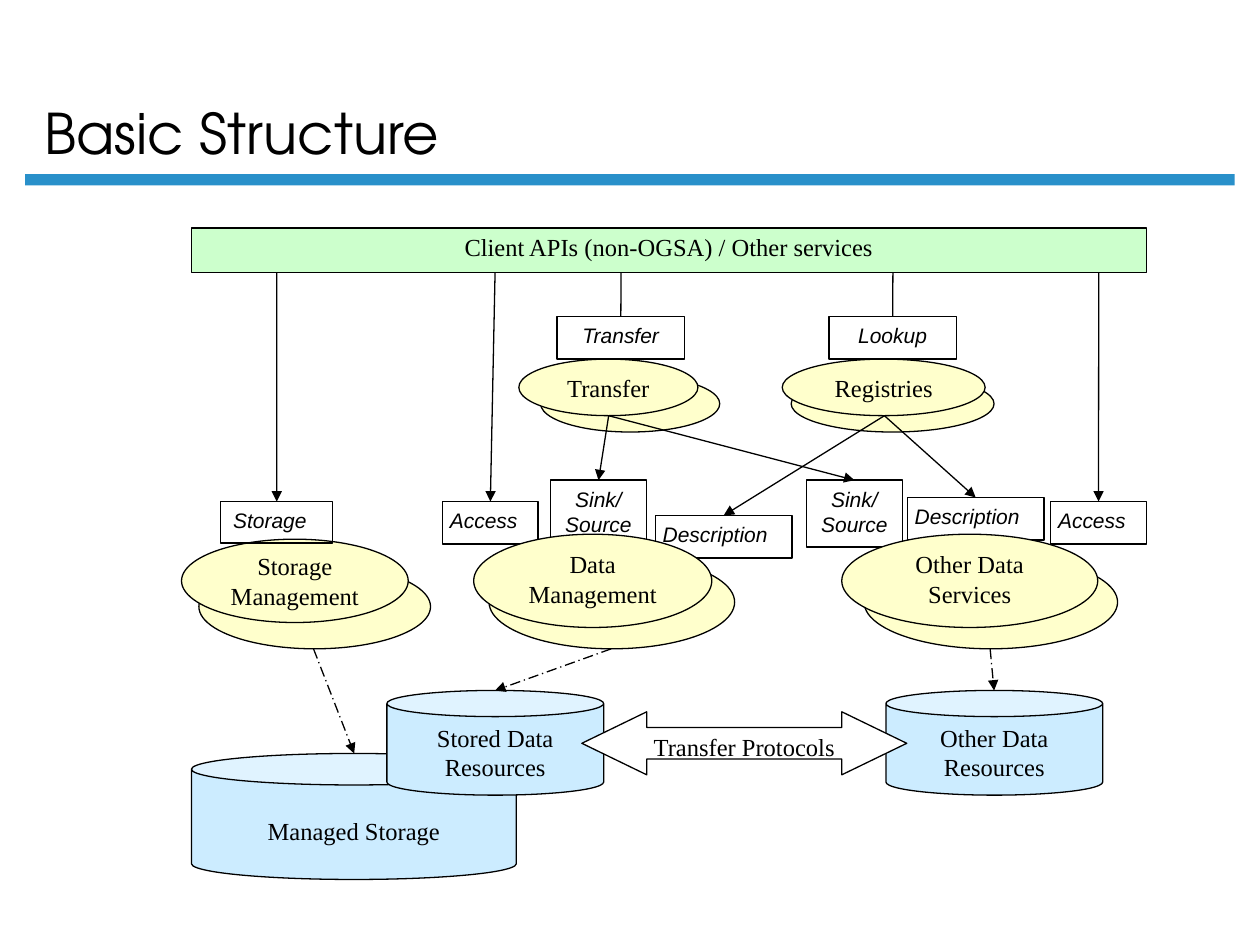
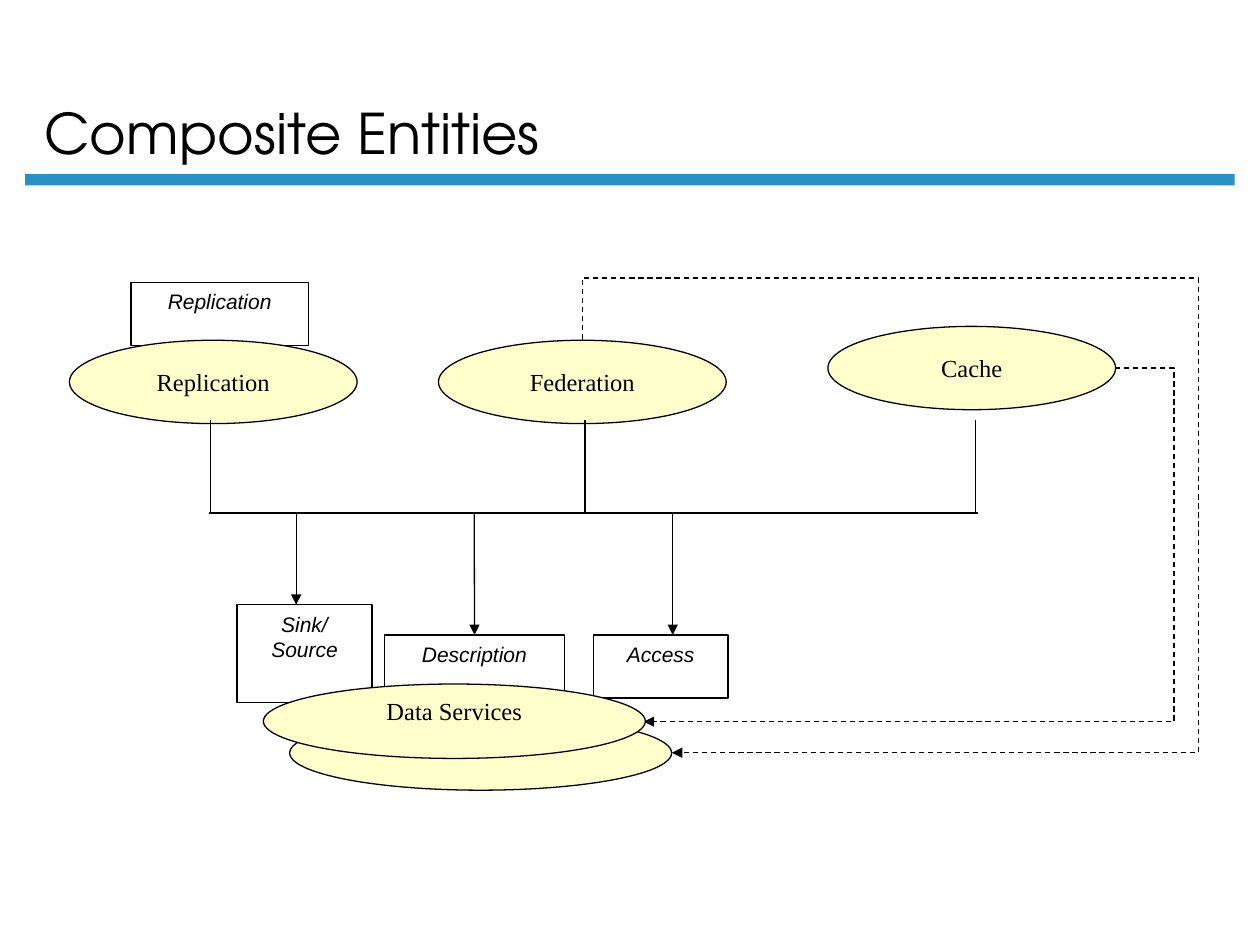
"""Build two slides on the structure of data services and their composite entities."""
from lxml import etree
from pptx import Presentation
from pptx import util as u
from pptx.dml.color import RGBColor
from pptx.enum import dml, shapes, text
from pptx.oxml import ns

COLORS = {"ink": "000000", "band": "2990CA", "service": "FFFFCC",
          "client": "CCFFCC", "store": "CCECFF", "protocol": "FFFFFF"}
SHAPE = shapes.MSO_SHAPE
MIDDLE = text.MSO_ANCHOR.MIDDLE
DASH = dml.MSO_LINE


def add_box(slide, kind, at, label="", fill=None, pad=0.13, side=0.15,
            anchor=text.MSO_ANCHOR.TOP, align=text.PP_ALIGN.CENTER):
    """Draw an outlined shape; one without fill is an interface in small italics."""
    box = slide.shapes.add_shape(kind, *map(u.Cm, at))
    box.shadow.inherit = False
    if fill:
        box.fill.solid()
        box.fill.fore_color.rgb = RGBColor.from_string(COLORS[fill])
    else:
        box.fill.background()
    box.line.color.rgb = RGBColor.from_string(COLORS["ink"])
    box.line.width = u.Pt(0.75)
    frame = box.text_frame
    frame.word_wrap = True
    frame.vertical_anchor = anchor
    frame.margin_left = frame.margin_right = u.Cm(side)
    frame.margin_top = u.Cm(pad)
    frame.margin_bottom = u.Cm(min(pad, 0.13))
    paragraph = frame.paragraphs[0]
    paragraph.alignment = align
    for number, line in enumerate(label.split("\n") if label else []):
        if number:
            paragraph.add_line_break()
        run = paragraph.add_run()
        run.text = line
        run.font.name = "Times New Roman" if fill else "Arial"
        run.font.size = u.Pt(14 if fill else 12)
        run.font.italic = not fill
        run.font.color.rgb = RGBColor.from_string(COLORS["ink"])
    return box


def add_link(slide, start, end, target=None, arrow=True, dash=None,
             kind=shapes.MSO_CONNECTOR.STRAIGHT):
    """Draw a line from start to end, or to the top of the target box."""
    link = slide.shapes.add_connector(kind, *map(u.Cm, (*start, *(end or start))))
    if target:
        link.end_connect(target, 0)
    link.line.color.rgb = RGBColor.from_string(COLORS["ink"])
    link.line.width = u.Pt(0.75)
    if dash:
        link.line.dash_style = dash
    if arrow:
        etree.SubElement(link.line._get_or_add_ln(), ns.qn("a:tailEnd"), type="triangle")
    etree.SubElement(link._element.spPr, ns.qn("a:effectLst"))
    return link


deck = Presentation()
deck.slide_width, deck.slide_height = u.Cm(25.4), u.Cm(19.05)

for heading in ("Basic Structure", "Composite Entities"):
    slide = deck.slides.add_slide(deck.slide_layouts[6])
    band = slide.shapes.add_shape(SHAPE.RECTANGLE, u.Cm(0.51), u.Cm(3.51), u.Cm(24.38), u.Cm(0.23))
    band.shadow.inherit = False
    band.fill.solid()
    band.fill.fore_color.rgb = RGBColor.from_string(COLORS["band"])
    band.line.fill.background()
    title = slide.shapes.add_textbox(u.Cm(0.64), u.Cm(0.3), u.Cm(21.74), u.Cm(3.18)).text_frame
    title.word_wrap = True
    title.vertical_anchor = text.MSO_ANCHOR.BOTTOM
    title.paragraphs[0].line_spacing = 0.9
    title_run = title.paragraphs[0].add_run()
    title_run.text = heading
    title_run.font.name = "TeX Gyre Adventor"
    title_run.font.size = u.Pt(32)
    title_run.font.color.rgb = RGBColor.from_string(COLORS["ink"])

structure, composite = deck.slides

for at in ((4.01, 11.38, 4.67, 1.7), (15.95, 7.57, 4.09, 1.14), (10.9, 7.57, 3.61, 1.14),
           (17.42, 11.2, 5.11, 1.88), (9.86, 11.2, 4.95, 1.88)):
    add_box(structure, SHAPE.OVAL, at, fill="service")

accesses, sinks, descriptions = [], [], []
for access_x, sink_x, description_at in ((8.92, 11.1, (13.21, 10.39)),
                                         (21.18, 16.26, (18.29, 10.03))):
    accesses.append(add_box(structure, SHAPE.RECTANGLE, (access_x, 10.11, 1.93, 0.86),
                            "Access", align=text.PP_ALIGN.LEFT))
    sinks.append(add_box(structure, SHAPE.RECTANGLE, (sink_x, 9.68, 1.93, 1.35), "Sink/\nSource"))
    descriptions.append(add_box(structure, SHAPE.RECTANGLE, (*description_at, 2.76, 0.86),
                                "Description", align=text.PP_ALIGN.LEFT))

for at, label in (((10.46, 7.24, 3.61, 1.14), "Transfer"),
                  ((15.77, 7.24, 4.09, 1.14), "Registries")):
    add_box(structure, SHAPE.OVAL, at, label, "service", 0.1, anchor=MIDDLE)
transfer, lookup = [add_box(structure, SHAPE.RECTANGLE, (x, 6.38, 2.57, 0.86), label)
                    for x, label in ((11.23, "Transfer"), (16.71, "Lookup"))]

for x, targets in ((12.27, sinks), (17.83, descriptions)):
    for target in targets:
        add_link(structure, (x, 8.38), None, target)

add_box(structure, SHAPE.RECTANGLE, (3.86, 4.6, 19.25, 0.89),
        "Client APIs (non-OGSA) / Other services", "client", 0.08)
for at, label, pad in (((9.55, 10.77, 4.8, 1.88), "Data\nManagement", 0.03),
                       ((16.97, 10.77, 5.16, 1.88), "Other Data\nServices", 0.03),
                       ((3.66, 10.87, 4.57, 1.68), "Storage\nManagement", 0)):
    add_box(structure, SHAPE.OVAL, at, label, "service", pad)
storage = add_box(structure, SHAPE.RECTANGLE, (4.45, 10.11, 2.26, 0.84), "Storage",
                  side=0.25, align=text.PP_ALIGN.LEFT)

for x, target, arrow in ((5.58, storage, True), (9.98, accesses[0], True),
                         (12.52, transfer, False), (18, lookup, False),
                         (22.15, accesses[1], True)):
    add_link(structure, (x, 5.49), None, target, arrow)

for at, label, pad in (((3.86, 15.19, 6.55, 2.54), "Managed Storage", 0.62),
                       ((7.8, 13.92, 4.37, 2.11), "Stored Data\nResources", 0.13),
                       ((17.86, 13.92, 4.37, 2.11), "Other Data\nResources", 0.13)):
    add_box(structure, SHAPE.CAN, at, label, "store", pad)
protocols = add_box(structure, SHAPE.LEFT_RIGHT_ARROW, (11.73, 14.35, 6.55, 1.27),
                    "Transfer Protocols", "protocol", 0.08)
protocols.adjustments[0], protocols.adjustments[1] = 0.5, 1.03

for start, end in (((6.32, 13.08), (7.14, 15.19)), ((12.32, 13.08), (9.98, 13.92)),
                   ((19.96, 13.08), (20.04, 13.92))):
    add_link(structure, start, end, dash=DASH.LONG_DASH_DOT)

add_box(composite, SHAPE.RECTANGLE, (2.64, 5.69, 3.58, 1.27), "Replication")
for x, y, label in ((1.4, 6.86, "Replication"), (8.84, 6.86, "Federation"), (16.69, 6.58, "Cache")):
    add_box(composite, SHAPE.OVAL, (x, y, 5.8, 1.68), label, "service", anchor=MIDDLE)

cache_route = add_link(composite, (22.48, 7.42), (12.98, 14.55), dash=DASH.DASH,
                       kind=shapes.MSO_CONNECTOR.ELBOW)
add_box(composite, SHAPE.OVAL, (5.84, 14.43, 7.7, 1.5), fill="service")
add_box(composite, SHAPE.RECTANGLE, (11.96, 12.8, 2.72, 1.27), "Access")
add_box(composite, SHAPE.RECTANGLE, (4.78, 12.19, 2.72, 1.98), "Sink/\nSource")
description = add_box(composite, SHAPE.RECTANGLE, (7.75, 12.8, 3.63, 1.27), "Description")
add_box(composite, SHAPE.OVAL, (5.31, 13.79, 7.7, 1.5), "Data Services", "service", 0.03)

bus_y = 10.34
add_link(composite, (4.22, bus_y), (19.71, bus_y), arrow=False)
for x in (4.24, 11.79, 19.66):
    add_link(composite, (x, bus_y), (x, 8.46), arrow=False)
add_link(composite, (5.97, bus_y), (5.97, 12.19))
add_link(composite, (9.56, bus_y), None, description)
add_link(composite, (13.56, bus_y), (13.56, 12.8))

federation_route = add_link(composite, (8.48, 10.11), (16.81, 11.91), dash=DASH.DASH,
                            kind=shapes.MSO_CONNECTOR.ELBOW)
turned = federation_route._element.spPr.find(ns.qn("a:xfrm"))
turned.set("rot", "16200000")
turned.set("flipH", "1")
federation_route._element.spPr.find(ns.qn("a:prstGeom")).set("prst", "bentConnector4")

for route, bends in ((cache_route, (-12500,)), (federation_route, (-14900, 689700))):
    guides = route._element.spPr.find(ns.qn("a:prstGeom")).find(ns.qn("a:avLst"))
    for number, bend in enumerate(bends, 1):
        etree.SubElement(guides, ns.qn("a:gd"), name=f"adj{number}", fmla=f"val {bend}")

deck.save("out.pptx")
